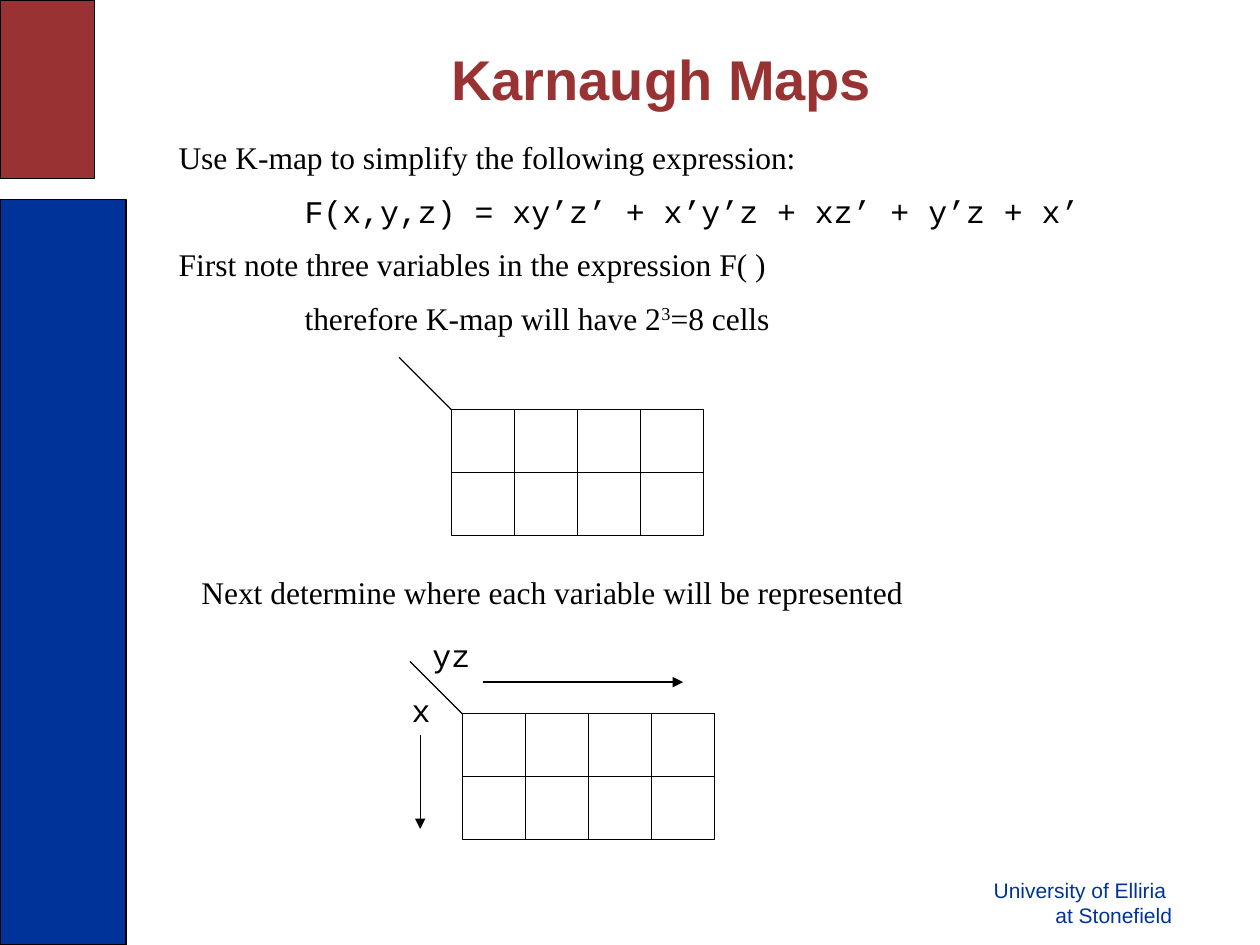
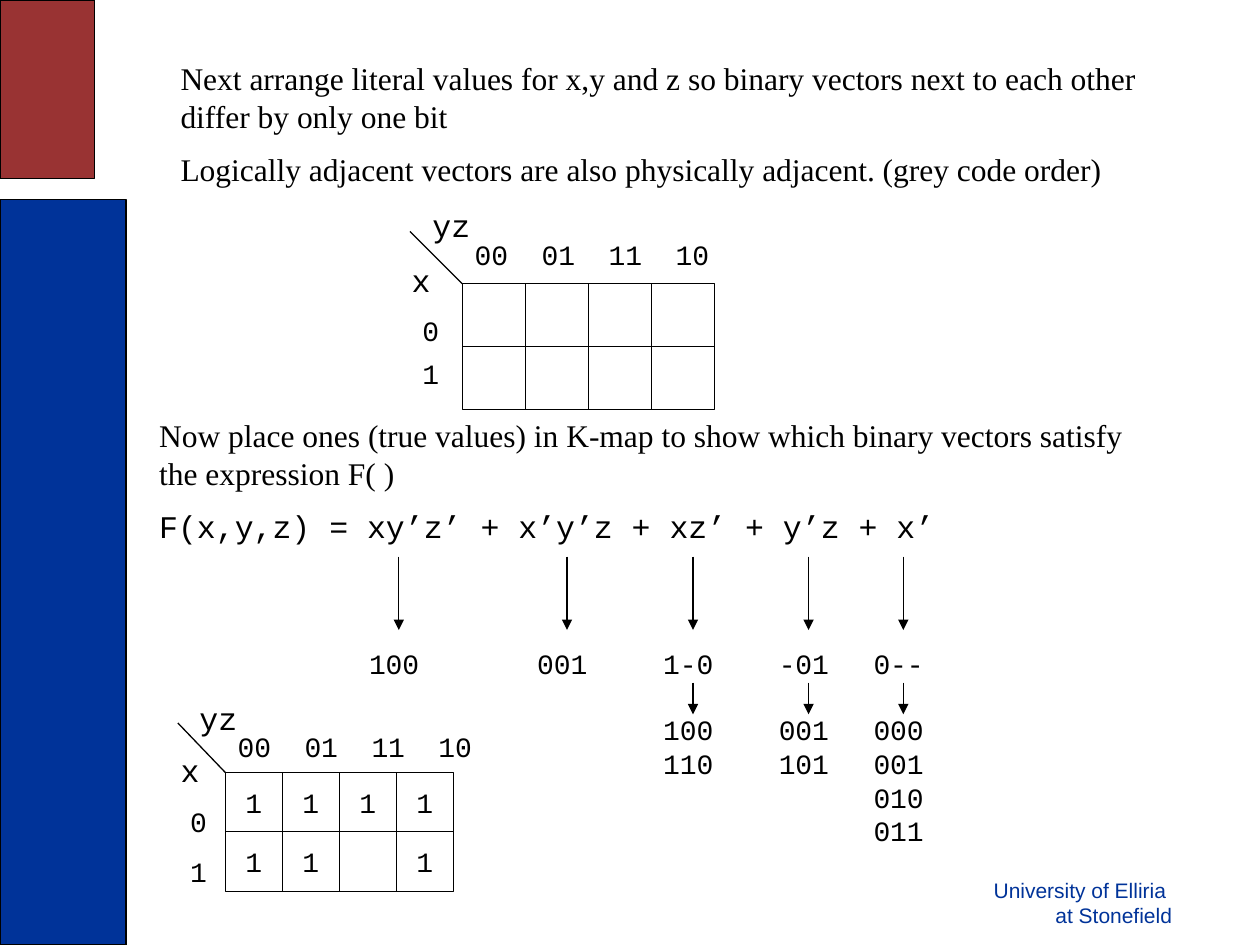
"""Build two slides that simplify an expression with Karnaugh maps."""
from pptx import Presentation
from pptx import util as u
from pptx.dml.color import RGBColor
from pptx.enum import shapes as sh, text as tx
from pptx.oxml.ns import qn
from lxml import etree

INK = {"black": "000000", "blue": "003399", "red": "993333"}
SERIF, MONO, SANS = "Times New Roman", "Courier New", "Arial"
TERMS = "F(x,y,z) = xy’z’ + x’y’z + xz’ + y’z + x’"
CODES = ["00", "01", "11", "10"]
THIN = u.Pt(0.75)


def ink(name):
    """Return the named colour."""
    return RGBColor.from_string(INK[name])


def fill_text(frame, lines, size, font, color="black", bold=False, gap=0,
              align=tx.PP_ALIGN.LEFT, lead=None):
    """Write one paragraph per line; ^ marks bound a superscript, a pair sets a font."""
    for i, line in enumerate(lines):
        words, face = line if isinstance(line, tuple) else (line, font)
        para = frame.paragraphs[0] if i == 0 else frame.add_paragraph()
        para.alignment = align
        if gap and i:
            para.space_before = u.Pt(gap)
        if lead:
            para.line_spacing = lead
        for n, part in enumerate(words.split("^")):
            run = para.add_run()
            run.text = part
            run.font.size, run.font.name = u.Pt(size), face
            run.font.bold = bold
            run.font.color.rgb = ink(color)
            if n % 2:
                run.font._element.set("baseline", "30000")


def write(pen, box, lines, size=18, font=SERIF, wrap=True, **style):
    """Add a text box and return its frame."""
    frame = pen.add_textbox(*map(u.Cm, box)).text_frame
    frame.word_wrap = wrap
    frame.auto_size = tx.MSO_AUTO_SIZE.SHAPE_TO_FIT_TEXT
    fill_text(frame, lines, size, font, **style)
    return frame


def rect(pen, box, color=None):
    """Add a thin-lined rectangle, filled if a colour is given."""
    item = pen.add_shape(sh.MSO_SHAPE.RECTANGLE, *map(u.Cm, box))
    item.shadow.inherit = False
    item.line.color.rgb, item.line.width = ink("black"), THIN
    if color:
        item.fill.solid()
        item.fill.fore_color.rgb = ink(color)
    else:
        item.fill.background()
    return item


def line(pen, x1, y1, x2, y2, arrow=True):
    """Draw a thin line, with an arrowhead at its end unless told otherwise."""
    item = pen.add_connector(sh.MSO_CONNECTOR.STRAIGHT,
                             *map(u.Cm, (x1, y1, x2, y2)))
    item.line.color.rgb, item.line.width = ink("black"), THIN
    if arrow:
        edge = item.line._get_or_add_ln()
        etree.SubElement(edge, qn("a:tailEnd"), type="triangle")
    etree.SubElement(item._element.spPr, qn("a:effectLst"))


def frame_slide(deck):
    """Add a blank slide with side bands and footer, and return its shapes."""
    pen = deck.slides.add_slide(deck.slide_layouts[6]).shapes
    rect(pen, (0, 4.02, 2.54, 15.03), "blue")
    rect(pen, (0, 0, 1.91, 3.6), "red")
    write(pen, (19.43, 17.57, 4.45, 1.28),
          ["University of Elliria ", "at Stonefield"], 12, SANS,
          color="blue", align=tx.PP_ALIGN.RIGHT)
    return pen


def set_tabs(frame, step, count=1):
    """Give each paragraph evenly spaced tab stops."""
    for para in frame.paragraphs:
        stops = etree.SubElement(para._p.get_or_add_pPr(), qn("a:tabLst"))
        for n in range(1, count + 1):
            etree.SubElement(stops, qn("a:tab"), pos=str(u.Cm(n * step)), algn="l")


def draw_map(pen, x, y, w=1.27, h=1.27, ones=(), names=True, lead=None):
    """Draw a 2 by 4 map of w by h cells; lead adds the codes at its edges."""
    def spot(dx, dy):
        """Turn an offset in cells into a position."""
        return x + dx * w, y + dy * h

    for row in range(2):
        for col in range(4):
            cell = rect(pen, (*spot(col, row), w, h))
            if (row, col) in ones:
                frame = cell.text_frame
                frame.word_wrap = False
                frame.vertical_anchor = tx.MSO_ANCHOR.MIDDLE
                fill_text(frame, ["1"], 16, MONO, align=tx.PP_ALIGN.CENTER)
    line(pen, x, y, *spot(-0.83, -0.83), arrow=False)
    if names:
        write(pen, (*spot(-1, -0.46), 0.89, 1.02), ["x"], font=MONO, wrap=False)
        write(pen, (*spot(-0.67, -1.33), 1.27, 1.02), ["yz"], font=MONO, wrap=False)
    if lead:
        write(pen, (*spot(-0.83, 0.56 - 0.27 * lead), 0.85, 1.55 * lead),
              ["0", "1"], 16, MONO, wrap=False, lead=lead)
        heads = write(pen, (*spot(0, -0.83), 5.4, 0.94), ["\t".join(CODES)], 16, MONO)
        set_tabs(heads, 1.35, len(CODES) - 1)


def draw_term(pen, x, y, code, rows=()):
    """Draw the arrow from a term at x, y to its code and the vectors it covers."""
    line(pen, x, y, x, y + 1.48)
    frame = write(pen, (x - 0.85, y + 1.68, 1.52, 0.94 + 0.68 * len(rows)),
                  [code, *rows], 16, MONO, wrap=False)
    if rows:
        frame.paragraphs[1].space_before = u.Pt(19)
        line(pen, x, y + 2.54, x, y + 3.18)


def build_setup(deck):
    """Build the slide that sizes the map and names its sides."""
    pen = frame_slide(deck)
    steps = write(pen, (3.35, 2.66, 20.95, 4.5), [
        "Use K-map to simplify the following expression:",
        ("\t" + TERMS, MONO),
        "First note three variables in the expression F( )",
        "\ttherefore K-map will have 2^3^=8 cells"], gap=9)
    set_tabs(steps, 2.54)
    draw_map(pen, 9.1, 8.26, names=False)
    write(pen, (3.81, 11.43, 19.9, 1.02),
          ["Next determine where each variable will be represented"])
    x, y = 9.32, 14.39
    draw_map(pen, x, y)
    line(pen, x - 0.85, y + 0.42, x - 0.85, y + 2.32)
    line(pen, x + 0.42, y - 0.64, x + 4.45, y - 0.64)
    write(pen, (2.54, 0.77, 21.59, 1.5), ["Karnaugh Maps"], 32, SANS,
          color="red", bold=True, align=tx.PP_ALIGN.CENTER)


def build_fill(deck):
    """Build the slide that orders the codes and places the ones."""
    pen = frame_slide(deck)
    write(pen, (3.39, 1.06, 20.75, 2.95), [
        "Next arrange literal values for x,y and z so binary vectors "
        "next to each other differ by only one bit",
        "Logically adjacent vectors are also physically adjacent. "
        "(grey code order)"], gap=9)
    draw_map(pen.add_group_shape().shapes, 9.32, 5.72, lead=1.3)
    write(pen, (2.96, 8.26, 20.75, 2.92), [
        "Now place ones (true values) in K-map to show which binary vectors "
        "satisfy the expression F( )", (TERMS, MONO)], gap=9)
    ones = [(0, 0), (0, 1), (0, 2), (0, 3), (1, 0), (1, 1), (1, 3)]
    draw_map(pen.add_group_shape().shapes, 4.54, 15.57, 1.15, 1.2, ones, lead=1.5)
    for x, code, rows in [(8.04, "100", []), (11.43, "001", []),
                          (13.97, "1-0", ["100", "110"]),
                          (16.3, "-01", ["001", "101"]),
                          (18.21, "0--", ["000", "001", "010", "011"])]:
        draw_term(pen, x, 11.22, code, rows)


def main():
    """Build and save the deck."""
    deck = Presentation()
    deck.slide_width, deck.slide_height = u.Cm(25.4), u.Cm(19.05)
    build_setup(deck)
    build_fill(deck)
    deck.save("out.pptx")


if __name__ == "__main__":
    main()
